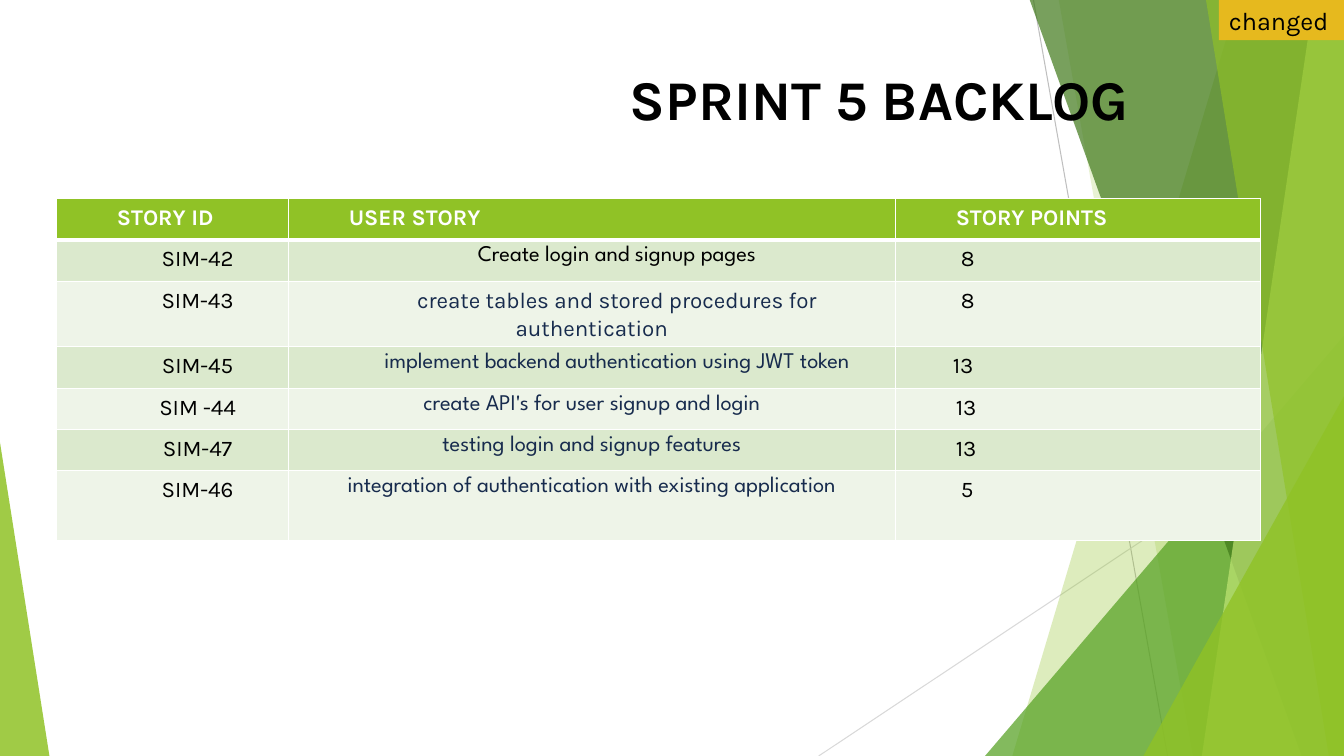
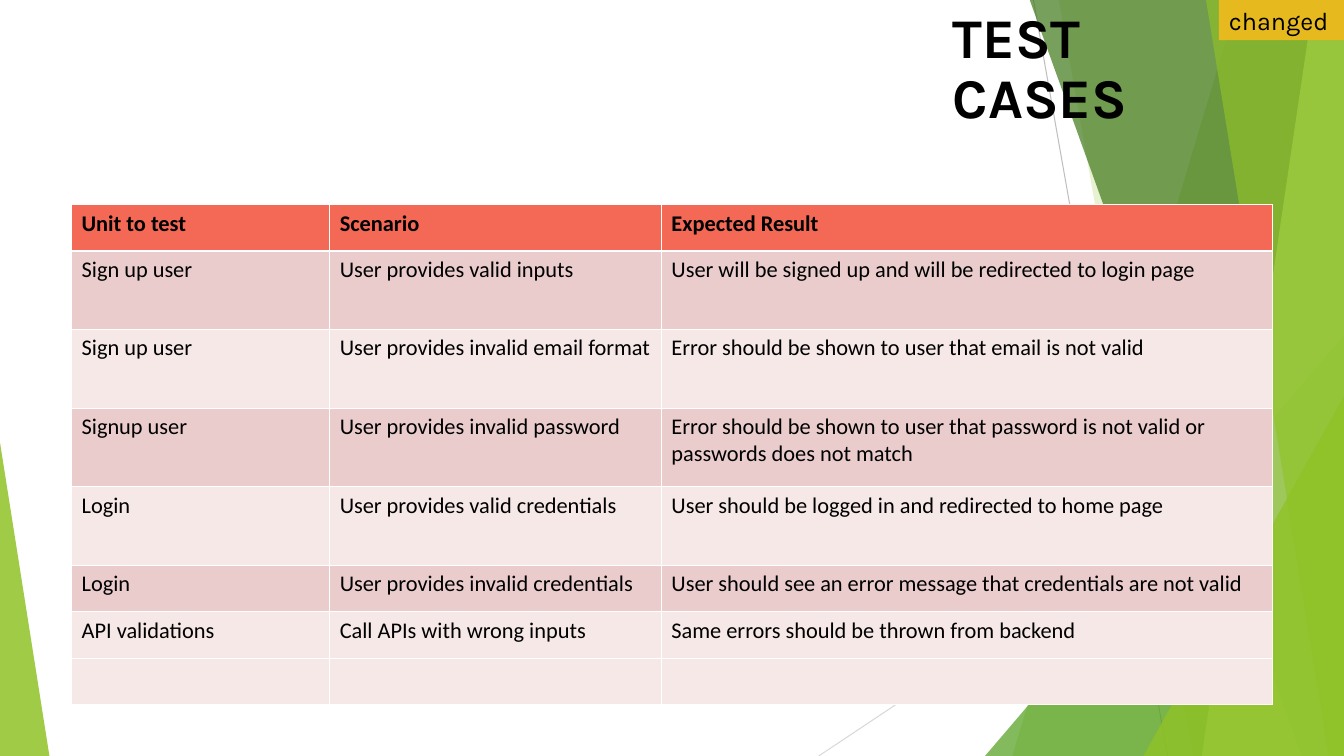
from lxml import etree
from pptx import Presentation
from pptx.dml.color import RGBColor
from pptx.enum.shapes import MSO_CONNECTOR, MSO_SHAPE
from pptx.enum.text import MSO_ANCHOR, PP_ALIGN
from pptx.oxml.ns import qn
from pptx.util import Emu, Pt

PX = 9144  # EMU per px, 100 px to the inch
WIDTH, HEIGHT = 1333, 750
LEFT, CENTER = PP_ALIGN.LEFT, PP_ALIGN.CENTER
TOP, BOTTOM = MSO_ANCHOR.TOP, MSO_ANCHOR.BOTTOM
RECTANGLE, TRIANGLE = MSO_SHAPE.RECTANGLE, MSO_SHAPE.ISOSCELES_TRIANGLE
STRAIGHT = MSO_CONNECTOR.STRAIGHT

BLACK, WHITE, NAVY = "000000", "FFFFFF", "172B4D"
GREEN, MID_GREEN, DARK_GREEN, PALE_GREEN = "90C226", "54A021", "3F7819", "C0E474"
GOLD = "E6B91E"
KARLA, SPARTAN, CALIBRI = "Karla", "League Spartan", "Calibri"

# Backdrop bands: top-left x, bottom-left x, colour, opacity in percent
BANDS_BEHIND = [(1228, 1004, GREEN, 30), (1050, 1183, GREEN, 20)]
BANDS_FRONT = [(1021, 1291, DARK_GREEN, 70), (1303, 1192, PALE_GREEN, 70),
               (1196, 1318, GREEN, 65)]


def color(value):
    return RGBColor.from_string(value)


def write_text(frame, text, *, size=16, font=KARLA, ink=BLACK, bold=False,
               align=LEFT, indent=0, line=None, after=None):
    paragraph = frame.paragraphs[0]
    paragraph.alignment = align
    if indent:
        paragraph._p.get_or_add_pPr().set("indent", str(indent * PX))
    if line:
        paragraph.line_spacing = line
    if after:
        paragraph.space_after = Pt(after)
    run = paragraph.add_run()
    run.text = text
    run.font.size = Pt(size)
    run.font.name = font
    run.font.bold = bold
    run.font.color.rgb = color(ink)


class Deck:
    def __init__(self):
        self.prs = Presentation()
        self.prs.slide_width = Emu(WIDTH * PX)
        self.prs.slide_height = Emu(HEIGHT * PX)
        self.shapes = None

    def new_slide(self):
        slide = self.prs.slides.add_slide(self.prs.slide_layouts[6])
        slide.background.fill.solid()
        slide.background.fill.fore_color.rgb = color(WHITE)
        self.shapes = slide.shapes
        self.backdrop()

    def backdrop(self):
        self.line(1025, 0, 1158, HEIGHT, "BFBFBF")
        self.line(WIDTH, 403, 812, HEIGHT, "D9D9D9")
        for band in BANDS_BEHIND:
            self.band(*band)
        self.triangle(977, 333, 356, 1, MID_GREEN, 72)
        for band in BANDS_FRONT:
            self.band(*band)
        self.triangle(1134, 393, 199, 1, GREEN, 80)
        self.triangle(0, 439, 49, 0, GREEN, 85)

    def paint(self, shape, fill, opacity=100):
        shape.shadow.inherit = False
        shape.line.fill.background()
        shape.fill.solid()
        shape.fill.fore_color.rgb = color(fill)
        if opacity < 100:
            tint = shape._element.spPr.find(f"{qn('a:solidFill')}/{qn('a:srgbClr')}")
            etree.SubElement(tint, qn("a:alpha"), val=str(opacity * 1000))

    def line(self, x1, y1, x2, y2, ink):
        line = self.shapes.add_connector(STRAIGHT, *(Emu(v * PX) for v in (x1, y1, x2, y2)))
        line.line.color.rgb = color(ink)
        line.line.width = Pt(0.75)
        etree.SubElement(line._element.spPr, qn("a:effectLst"))

    def band(self, top_x, bottom_x, fill, opacity):
        """Fill from a slanted left edge to the right side of the slide."""
        outline = self.shapes.build_freeform(top_x, -1, scale=PX)
        outline.add_line_segments(
            [(WIDTH, -1), (WIDTH, HEIGHT), (bottom_x, HEIGHT)], close=True)
        self.paint(outline.convert_to_shape(), fill, opacity)

    def preset(self, kind, x, y, width, height):
        return self.shapes.add_shape(kind, *(Emu(v * PX) for v in (x, y, width, height)))

    def triangle(self, x, y, width, apex, fill, opacity):
        triangle = self.preset(TRIANGLE, x, y, width, HEIGHT - y)
        triangle.adjustments[0] = apex
        self.paint(triangle, fill, opacity)

    def title(self, text, x, y, width):
        box = self.shapes.add_textbox(*(Emu(v * PX) for v in (x, y, width, 90)))
        box.text_frame.word_wrap = True
        box.text_frame.vertical_anchor = BOTTOM
        write_text(box.text_frame, text, size=40, bold=True, line=0.9, after=6)

    def badge(self, text):
        badge = self.preset(RECTANGLE, 1209, 0, 125, 40)
        self.paint(badge, GOLD)
        badge.text_frame.word_wrap = True
        badge.text_frame.vertical_anchor = TOP
        write_text(badge.text_frame, text, size=18)

    def table(self, x, y, columns, heights, rows, fills, header_rule=1):
        """Draw rows of (text, format) cells; fills are header, odd, even."""
        table = self.shapes.add_table(
            len(heights), len(columns),
            *(Emu(v * PX) for v in (x, y, sum(columns), sum(heights)))).table
        for column, width in zip(table.columns, columns):
            column.width = Emu(width * PX)
        for r, (height, row, fill) in enumerate(zip(heights, rows, fills)):
            table.rows[r].height = Emu(height * PX)
            for c, (text, style) in enumerate(row):
                cell = table.cell(r, c)
                self.borders(cell, top=header_rule if r == 1 else 1,
                             bottom=header_rule if r == 0 else 1)
                cell.fill.solid()
                cell.fill.fore_color.rgb = color(fill)
                if text:
                    write_text(cell.text_frame, text, **style)

    def borders(self, cell, top, bottom):
        properties = cell._tc.get_or_add_tcPr()
        for side, points in (("L", 1), ("R", 1), ("T", top), ("B", bottom)):
            edge = etree.SubElement(properties, qn(f"a:ln{side}"), w=str(Pt(points)))
            fill = etree.SubElement(edge, qn("a:solidFill"))
            etree.SubElement(fill, qn("a:srgbClr"), val=WHITE)


# Story ID, story, story format, points, points indent
STORIES = [
    ("SIM-42", "Create login and signup pages",
     dict(font=SPARTAN, indent=50), "8", 55),
    ("SIM-43", "create tables and stored procedures for authentication",
     dict(ink=NAVY, indent=50), "8", 55),
    ("SIM-45", "implement backend authentication using JWT token",
     dict(font=SPARTAN, ink=NAVY, indent=50), "13", 47),
    ("SIM -44", "create API's for user signup and login",
     dict(font=SPARTAN, ink=NAVY), "13", 50),
    ("SIM-47", "testing login and signup features",
     dict(font=SPARTAN, ink=NAVY), "13", 50),
    ("SIM-46", "integration of authentication with existing application",
     dict(font=SPARTAN, ink=NAVY), "5", 55),
]

TEST_CASES = [
    ("Unit to test", "Scenario", "Expected Result"),
    ("Sign up user", "User provides valid inputs",
     "User will be signed up and will be redirected to login page"),
    ("Sign up user", "User provides invalid email format",
     "Error should be shown to user that email is not valid"),
    ("Signup user", "User provides invalid password",
     "Error should be shown to user that password is not valid or "
     "passwords does not match"),
    ("Login", "User provides valid credentials",
     "User should be logged in and redirected to home page"),
    ("Login", "User provides invalid credentials",
     "User should see an error message that credentials are not valid"),
    ("API validations", "Call APIs with wrong inputs",
     "Same errors should be thrown from backend"),
    ("", "", ""),
]


def backlog_slide(deck):
    deck.new_slide()
    spacing = dict(line=1.06, after=8)
    heading = dict(ink=WHITE, bold=True, indent=50, **spacing)
    rows = [[(text, heading) for text in ("STORY ID", "USER STORY", "STORY POINTS")]]
    for story_id, story, story_style, points, points_indent in STORIES:
        rows.append([
            (story_id, dict(align=CENTER, indent=50, **spacing)),
            (story, dict(align=CENTER, **story_style, **spacing)),
            (points, dict(indent=points_indent, **spacing)),
        ])
    deck.table(56, 197, [230, 602, 362], [41] * 6 + [69], rows,
               [GREEN] + ["DBE9CD", "EEF4E8"] * 3, header_rule=3)
    deck.title("SPRINT 5 BACKLOG", 615, 47, 637)
    deck.badge("changed")


def test_cases_slide(deck):
    deck.new_slide()
    deck.title("TEST CASES", 935, 45, 326)
    rows = [[(text, dict(font=CALIBRI, bold=r == 0)) for text in row]
            for r, row in enumerate(TEST_CASES)]
    dark, light = "EACCCC", "F5E8E7"
    deck.table(71, 203, [256, 329, 606], [46] + [78] * 4 + [46] * 3, rows,
               ["F46856"] + [dark, light] * 3 + [light])
    deck.badge("changed")


def main():
    deck = Deck()
    backlog_slide(deck)
    test_cases_slide(deck)
    deck.prs.save("out.pptx")


if __name__ == "__main__":
    main()
